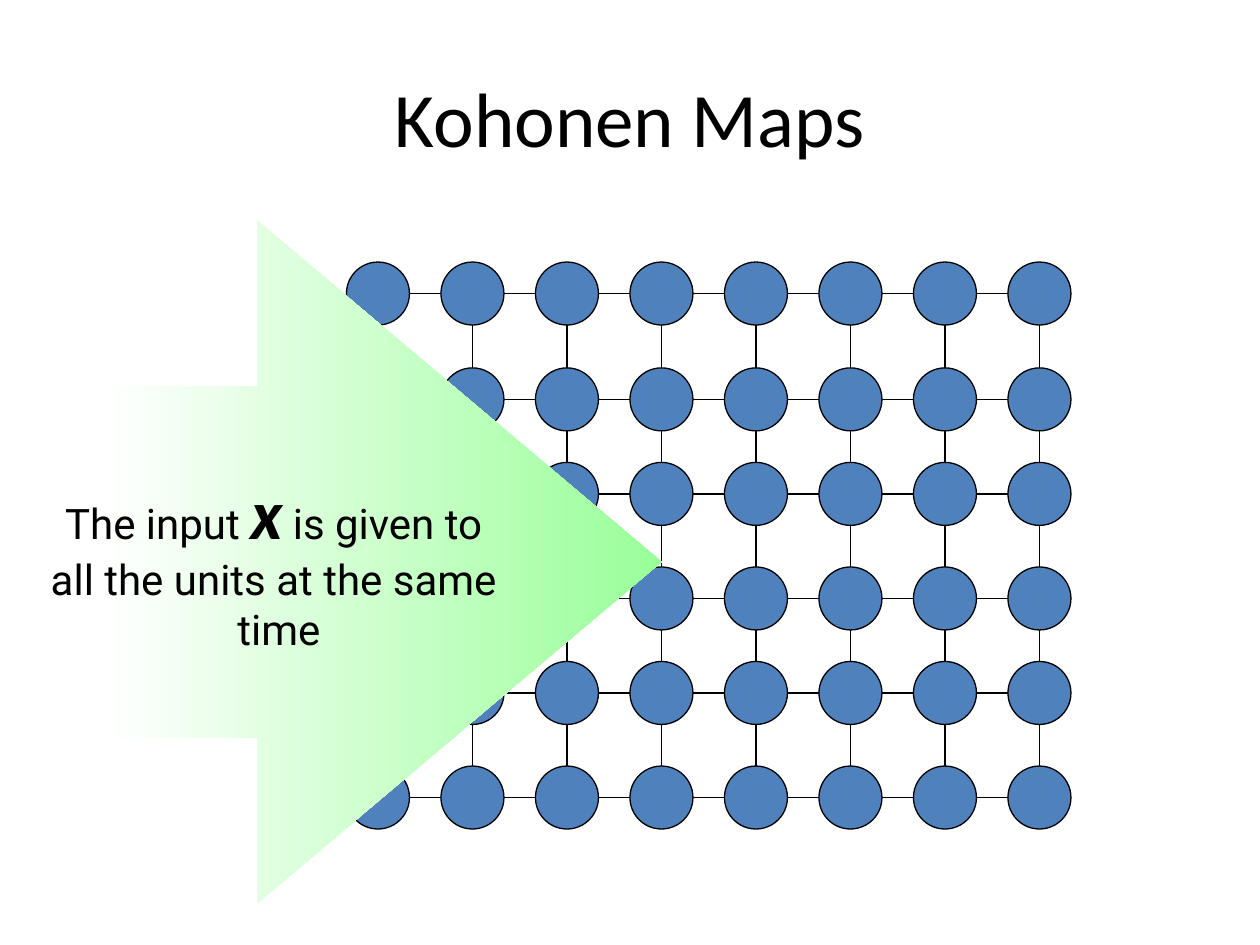
"""Build the Kohonen Maps slide: a grid of units fed by one input arrow."""
from lxml import etree
from pptx import Presentation
from pptx import util as u
from pptx.dml.color import RGBColor
from pptx.enum import shapes, text
from pptx.oxml.ns import qn

BLACK = RGBColor(0x00, 0x00, 0x00)
WHITE = RGBColor(0xFF, 0xFF, 0xFF)
BLUE = RGBColor(0x4F, 0x81, 0xBD)
GREEN = RGBColor(0x99, 0xFF, 0x99)

SIZE = 0.5
COLS = [2.75 + 0.75 * i for i in range(8)]
ROWS = [2.08, 2.92, 3.67, 4.5, 5.25, 6.08]


class Deck:
    def __init__(self):
        self.prs = Presentation()
        self.prs.slide_width = u.Inches(10)
        self.prs.slide_height = u.Inches(7.5)
        self.slide = self.prs.slides.add_slide(self.prs.slide_layouts[6])
        self.grid = self.slide.shapes.add_group_shape().shapes
        self.width = u.Pt(0.75)

    def style(self, run, font="Roboto", size=24, bold=False):
        run.font.name = font
        run.font.size = u.Pt(size)
        run.font.bold = run.font.italic = bold
        run.font.color.rgb = BLACK

    def title(self, words, *box):
        shape = self.slide.shapes.add_textbox(*map(u.Inches, box))
        frame = shape.text_frame
        frame.word_wrap = True
        frame.vertical_anchor = text.MSO_ANCHOR.MIDDLE
        frame.text = words
        para = frame.paragraphs[0]
        para.alignment = text.PP_ALIGN.CENTER
        self.style(para.runs[0], "Calibri", 44)

    def unit(self, left, top):
        box = map(u.Inches, (left, top, SIZE, SIZE))
        shape = self.grid.add_shape(shapes.MSO_SHAPE.OVAL, *box)
        shape.shadow.inherit = False
        shape.fill.solid()
        shape.fill.fore_color.rgb = BLUE
        shape.line.color.rgb = BLACK
        shape.line.width = self.width

    def link(self, *ends):
        line = self.grid.add_connector(shapes.MSO_CONNECTOR.STRAIGHT, *map(u.Inches, ends))
        line.line.color.rgb = BLACK
        line.line.width = self.width
        etree.SubElement(line._element.spPr, qn("a:effectLst"))

    def arrow(self, lines, *box):
        shape = self.slide.shapes.add_shape(shapes.MSO_SHAPE.RIGHT_ARROW, *map(u.Inches, box))
        shape.shadow.inherit = False
        shape.adjustments[0] = 0.515
        shape.adjustments[1] = 0.726
        shape.line.fill.background()
        shape.fill.gradient()
        shape.fill.gradient_angle = 0
        for stop, place, shade in zip(shape.fill.gradient_stops, (0, 1), (WHITE, GREEN)):
            stop.position = place
            stop.color.rgb = shade
        frame = shape.text_frame
        frame.word_wrap = False
        frame.vertical_anchor = text.MSO_ANCHOR.MIDDLE
        for i, parts in enumerate(lines):
            para = frame.add_paragraph() if i else frame.paragraphs[0]
            para.alignment = text.PP_ALIGN.CENTER
            for part in parts:
                run = para.add_run()
                run.text = part
                if part == "x":
                    self.style(run, "Calibri", 40, True)
                else:
                    self.style(run)


def main():
    deck = Deck()
    deck.title("Kohonen Maps", 0.5, 0.3, 9, 1.25)
    half = SIZE / 2
    for top in ROWS:
        for left in COLS:
            deck.unit(left, top)
        for left, right in zip(COLS, COLS[1:]):
            deck.link(left + SIZE, top + half, right, top + half)
    for top, low in zip(ROWS, ROWS[1:]):
        for left in COLS:
            deck.link(left + half, low, left + half, top + SIZE)
    lines = [("The input ", "x", " is given to "), ("all the units at the same ",), ("time",)]
    deck.arrow(lines, 0.83, 1.75, 4.42, 5.42)
    deck.prs.save("out.pptx")


if __name__ == "__main__":
    main()
